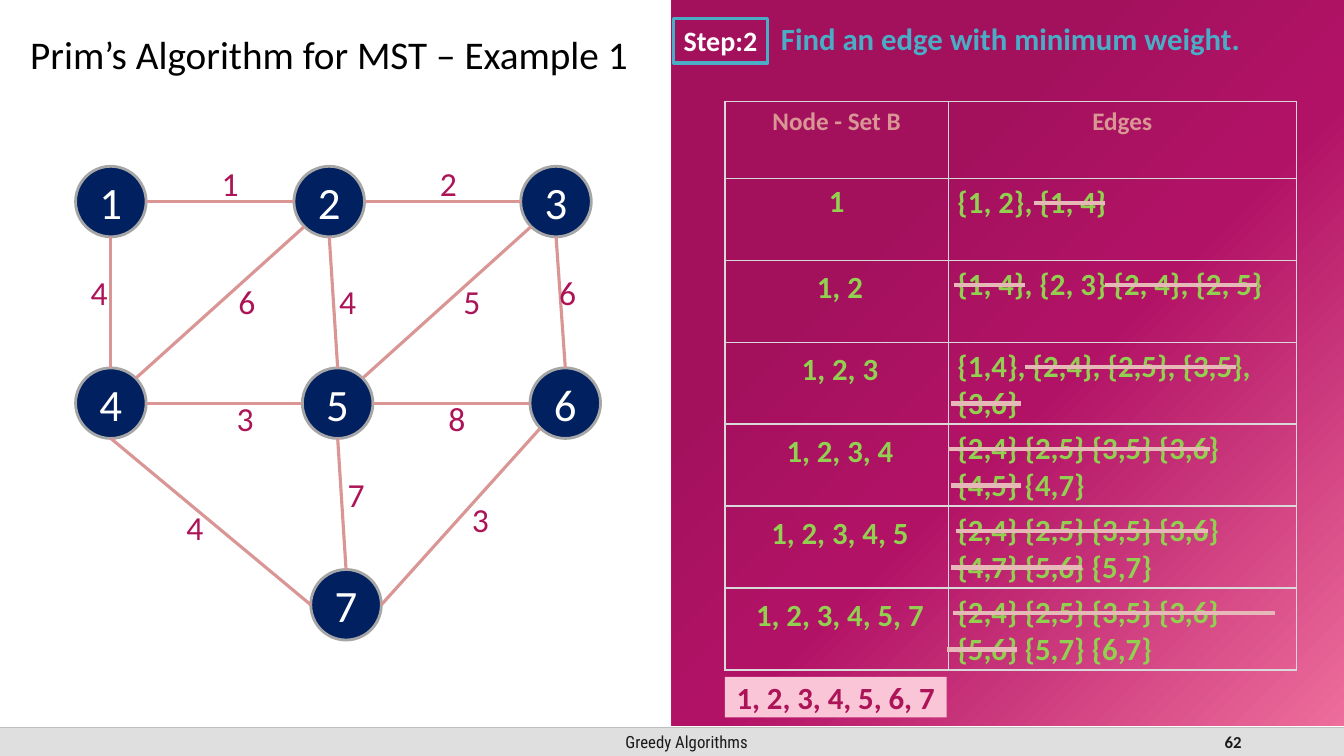
from dataclasses import dataclass
from typing import NamedTuple

from lxml import etree
from pptx import Presentation
from pptx.dml.color import RGBColor
from pptx.enum.shapes import MSO_CONNECTOR, MSO_SHAPE
from pptx.enum.text import MSO_ANCHOR, MSO_AUTO_SIZE, PP_ALIGN
from pptx.oxml import parse_xml
from pptx.oxml.ns import nsdecls, qn
from pptx.util import Emu, Pt

LEFT, CENTER, RIGHT, JUSTIFY = PP_ALIGN.LEFT, PP_ALIGN.CENTER, PP_ALIGN.RIGHT, PP_ALIGN.JUSTIFY
TOP, MIDDLE = MSO_ANCHOR.TOP, MSO_ANCHOR.MIDDLE
RECTANGLE, OVAL = MSO_SHAPE.RECTANGLE, MSO_SHAPE.OVAL
STRAIGHT = MSO_CONNECTOR.STRAIGHT

# The slide is a grid of 160 columns by 90 rows of square units
COLUMNS, ROWS, UNIT = 160, 90, 76200


@dataclass(frozen=True)
class Theme:
    font: str = "Calibri"
    footer_font: str = "Roboto Condensed"
    black: str = "000000"
    white: str = "FFFFFF"
    ink: str = "1A1A1A"
    footer: str = "DFDFDF"
    footer_rule: str = "BFBFBF"
    navy: str = "002060"
    node_rim: str = "A6A6A6"
    rose: str = "D99694"
    strike: str = "E6B9B8"
    magenta: str = "AD1457"
    green: str = "92D050"
    teal: str = "4BACC6"
    pink: str = "F9C5D7"
    grid: str = "D9D9D9"
    panel: tuple = ((30, "A3115D"), (55, "B21266"), (100, "ED6D9B"))
    footer_size: int = 12
    header_size: int = 18
    step_size: int = 20
    set_size: int = 22
    weight_size: int = 24
    title_size: int = 28
    node_size: int = 32


THEME = Theme()


class Box(NamedTuple):
    left: float
    top: float
    width: float
    height: float


class Style(NamedTuple):
    size: int
    color: str
    bold: bool = False
    align: PP_ALIGN = LEFT
    anchor: MSO_ANCHOR = TOP
    font: str = THEME.font


class Node(NamedTuple):
    x: float
    y: float


class Edge(NamedTuple):
    start: int
    start_side: str
    end: int
    end_side: str
    weight: str
    label_x: float
    label_y: float


class Strike(NamedTuple):
    text_line: int
    start: float
    end: float


class Step(NamedTuple):
    nodes: str
    nodes_width: float
    edges: str
    strikes: tuple[Strike, ...]


NODE_SIZE = 8.4
NODES = {1: Node(13.2, 24), 2: Node(39.2, 24), 3: Node(66.2, 24), 4: Node(13.2, 48),
         5: Node(40.2, 48), 6: Node(67.3, 48), 7: Node(41.2, 72)}
SIDES = {"N": (0, -1), "S": (0, 1), "E": (1, 0), "W": (-1, 0),
         "NE": (0.71, -0.71), "SW": (-0.71, 0.71)}
EDGES = [
    Edge(1, "E", 2, "W", "1", 25.2, 18.8), Edge(2, "E", 3, "W", "2", 51.2, 18.8),
    Edge(4, "E", 5, "W", "3", 27, 46.8), Edge(5, "E", 6, "W", "8", 52.2, 46.8),
    Edge(1, "S", 4, "N", "4", 9.6, 31.8), Edge(2, "S", 5, "N", "4", 39.2, 32.8),
    Edge(3, "S", 6, "N", "6", 65.4, 31.8), Edge(4, "NE", 2, "SW", "6", 27.2, 32.8),
    Edge(5, "NE", 3, "SW", "5", 54, 32.8), Edge(6, "SW", 7, "E", "3", 55, 58.8),
    Edge(4, "S", 7, "W", "4", 21, 59.8), Edge(5, "S", 7, "N", "7", 40.2, 55.8),
]

# The first node set stands in the table itself, the others lie over it
STEPS = [
    Step("1", 0, "{1, 2}, {1, 4}", (Strike(0, 123.1, 131.5),)),
    Step("1, 2", 16.8, "{1, 4}, {2, 3} {2, 4}, {2, 5}",
         (Strike(0, 113.6, 122), Strike(0, 131.6, 149.6))),
    Step("1, 2, 3", 16.8, "{1,4}, {2,4}, {2,5}, {3,5}, {3,6}",
         (Strike(0, 122, 147.2), Strike(1, 113.2, 121.6))),
    Step("1, 2, 3, 4", 16.8, "{2,4} {2,5} {3,5} {3,6} {4,5} {4,7}",
         (Strike(0, 112.9, 144.1), Strike(1, 113.2, 121.6))),
    Step("1, 2, 3, 4, 5", 19.2, "{2,4} {2,5} {3,5} {3,6} {4,7} {5,6} {5,7}",
         (Strike(0, 113.8, 143.8), Strike(1, 113.2, 128.8))),
    Step("1, 2, 3, 4, 5, 7", 22.8, "{2,4} {2,5} {3,5} {3,6} {5,6} {5,7} {6,7}",
         (Strike(0, 113.4, 151.8), Strike(1, 112.7, 121.1))),
]
TABLE_LEFT, TABLE_TOP = 86.3, 12.1
TABLE_COLUMNS = (26.6, 41.4)
HEADER_HEIGHT, STEP_HEIGHT = 9.12, 9.76
STRIKE_OFFSETS = (2.95, 7.3)


def units(value: float) -> Emu:
    return Emu(round(value * UNIT))


def rgb(color: str) -> RGBColor:
    return RGBColor.from_string(color)


def write(frame, text: str, style: Style) -> None:
    frame.vertical_anchor = style.anchor
    paragraph = frame.paragraphs[0]
    paragraph.alignment = style.align
    run = paragraph.add_run()
    run.text = text
    run.font.name, run.font.size, run.font.bold = style.font, Pt(style.size), style.bold
    run.font.color.rgb = rgb(style.color)


def add_label(slide, box: Box, text: str, style: Style) -> None:
    frame = slide.shapes.add_textbox(*map(units, box)).text_frame
    frame.word_wrap = True
    write(frame, text, style)


def add_block(slide, kind, box: Box, fill: str = "", rim: str = "", rim_width: float = 0):
    block = slide.shapes.add_shape(kind, *map(units, box))
    block.shadow.inherit = False
    if fill:
        block.fill.solid()
        block.fill.fore_color.rgb = rgb(fill)
    else:
        block.fill.background()
    if rim:
        block.line.color.rgb, block.line.width = rgb(rim), Pt(rim_width)
    else:
        block.line.fill.background()
    return block


def add_line(slide, start: Node, end: Node, color: str, width: float):
    line = slide.shapes.add_connector(STRAIGHT, *map(units, (*start, *end)))
    line.line.color.rgb, line.line.width = rgb(color), Pt(width)
    etree.SubElement(line._element.spPr, qn("a:effectLst"))
    return line


def rim_point(number: int, side: str) -> Node:
    node, (dx, dy) = NODES[number], SIDES[side]
    return Node(node.x + dx * NODE_SIZE / 2, node.y + dy * NODE_SIZE / 2)


def add_footer(slide) -> None:
    add_block(slide, RECTANGLE, Box(0, 86.6, COLUMNS, 3.4), THEME.footer)
    add_label(slide, Box(53, 86.6, 57.5, 3.4), "Greedy Algorithms",
              Style(THEME.footer_size, THEME.ink, False, CENTER, MIDDLE, THEME.footer_font))
    add_label(slide, Box(113, 86.6, 36, 3.4), "62",
              Style(THEME.footer_size, THEME.ink, True, RIGHT, MIDDLE))
    add_line(slide, Node(0, 86.6), Node(COLUMNS, 86.6), THEME.footer_rule, 1)


def add_panel(slide) -> None:
    panel = add_block(slide, RECTANGLE, Box(80, 0, 80, 86.4), THEME.panel[0][1])
    stops = "".join(f'<a:gs pos="{share * 1000}"><a:srgbClr val="{color}"/></a:gs>'
                    for share, color in THEME.panel)
    gradient = parse_xml(
        f'<a:gradFill {nsdecls("a")} rotWithShape="1"><a:gsLst>{stops}</a:gsLst>'
        '<a:path path="circle"><a:fillToRect r="100000" b="100000"/></a:path></a:gradFill>')
    properties = panel._element.spPr
    properties.replace(properties.find(qn("a:solidFill")), gradient)


def add_title(slide) -> None:
    title = slide.shapes.title
    title.left, title.top, title.width, title.height = map(units, (0, 0.1, 81.6, 9.7))
    frame = title.text_frame
    frame.auto_size, frame.word_wrap = MSO_AUTO_SIZE.NONE, True
    frame.margin_left = units(3.6)
    write(frame, "Prim’s Algorithm for MST – Example 1",
          Style(THEME.title_size, THEME.black, anchor=MIDDLE))
    frame.paragraphs[0].line_spacing = 1.5


def add_graph(slide) -> None:
    for number, node in NODES.items():
        box = Box(node.x - NODE_SIZE / 2, node.y - NODE_SIZE / 2, NODE_SIZE, NODE_SIZE)
        circle = add_block(slide, OVAL, box, THEME.navy, THEME.node_rim, 2)
        write(circle.text_frame, str(number),
              Style(THEME.node_size, THEME.white, False, CENTER, MIDDLE))
    for edge in EDGES:
        add_line(slide, rim_point(edge.start, edge.start_side),
                 rim_point(edge.end, edge.end_side), THEME.rose, 2.25)
        add_label(slide, Box(edge.label_x, edge.label_y, 4.8, 6), edge.weight,
                  Style(THEME.weight_size, THEME.magenta))


def add_step_table(slide) -> None:
    heights = (HEADER_HEIGHT, *[STEP_HEIGHT] * len(STEPS))
    box = Box(TABLE_LEFT, TABLE_TOP, sum(TABLE_COLUMNS), sum(heights))
    table = slide.shapes.add_table(len(heights), len(TABLE_COLUMNS), *map(units, box)).table
    table.first_row = table.horz_banding = False
    for column, width in zip(table.columns, TABLE_COLUMNS):
        column.width = units(width)
    for row, height in zip(table.rows, heights):
        row.height = units(height)
    for cell in table.iter_cells():
        cell.fill.background()
        for place, side in enumerate(("lnL", "lnR", "lnT", "lnB")):
            cell._tc.get_or_add_tcPr().insert(place, parse_xml(
                f'<a:{side} {nsdecls("a")} w="12700"><a:solidFill>'
                f'<a:srgbClr val="{THEME.grid}"/></a:solidFill></a:{side}>'))
    for index, heading in enumerate(("Node - Set B", "Edges")):
        write(table.cell(0, index).text_frame, heading,
              Style(THEME.header_size, THEME.rose, True, CENTER))
    first_set = table.cell(1, 0).text_frame
    write(first_set, STEPS[0].nodes, Style(THEME.set_size, THEME.green, True, CENTER))
    first_set.paragraphs[0].space_before = Pt(0.2 * THEME.set_size)


def add_step_sets(slide) -> None:
    for index, step in enumerate(STEPS):
        top = TABLE_TOP + HEADER_HEIGHT + index * STEP_HEIGHT
        add_label(slide, Box(112.8, top, 40, STEP_HEIGHT), step.edges,
                  Style(THEME.set_size, THEME.green, True))
        if step.nodes_width:
            add_label(slide, Box(100 - step.nodes_width / 2, top + 0.3, step.nodes_width, 5.6),
                      step.nodes, Style(THEME.set_size, THEME.green, True, CENTER))
        for strike in step.strikes:
            y = top + STRIKE_OFFSETS[strike.text_line]
            add_line(slide, Node(strike.start, y), Node(strike.end, y), THEME.strike, 3)


def add_step_heading(slide) -> None:
    badge = add_block(slide, RECTANGLE, Box(80.2, 2.2, 11.2, 5.3), "", THEME.teal, 2.25)
    badge.text_frame.word_wrap = False
    write(badge.text_frame, "Step:2", Style(THEME.step_size, THEME.white, True))
    add_label(slide, Box(91.8, 1.8, 67.2, 5.6), "Find an edge with minimum weight.",
              Style(THEME.set_size, THEME.teal, True, JUSTIFY))


def add_result(slide) -> None:
    result = add_block(slide, RECTANGLE, Box(86.3, 80.6, 26.4, 4.8), THEME.pink)
    write(result.text_frame, "1, 2, 3, 4, 5, 6, 7",
          Style(THEME.set_size, THEME.magenta, True, CENTER, MIDDLE))


def main() -> None:
    deck = Presentation()
    deck.slide_width, deck.slide_height = units(COLUMNS), units(ROWS)
    slide = deck.slides.add_slide(deck.slide_layouts[5])
    for add_part in (add_footer, add_panel, add_title, add_graph, add_step_heading,
                     add_step_table, add_step_sets, add_result):
        add_part(slide)
    deck.save("out.pptx")


if __name__ == "__main__":
    main()
